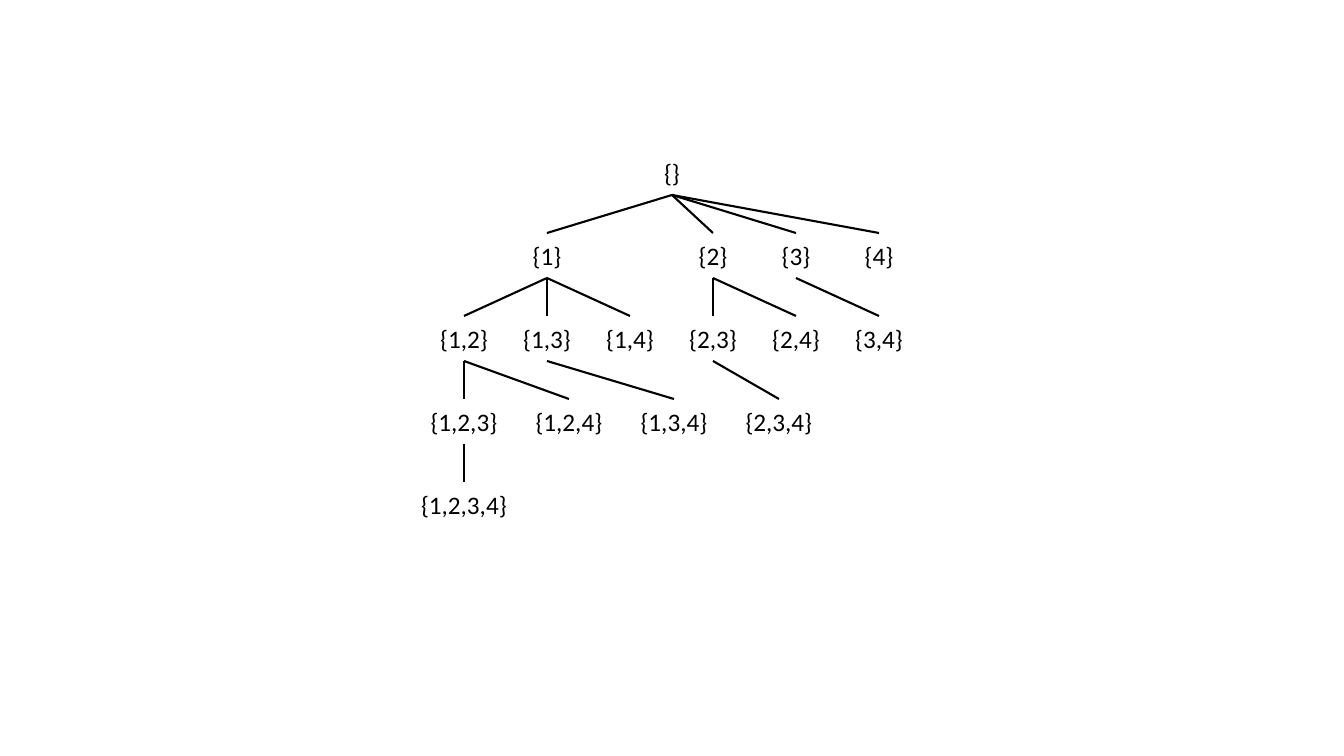
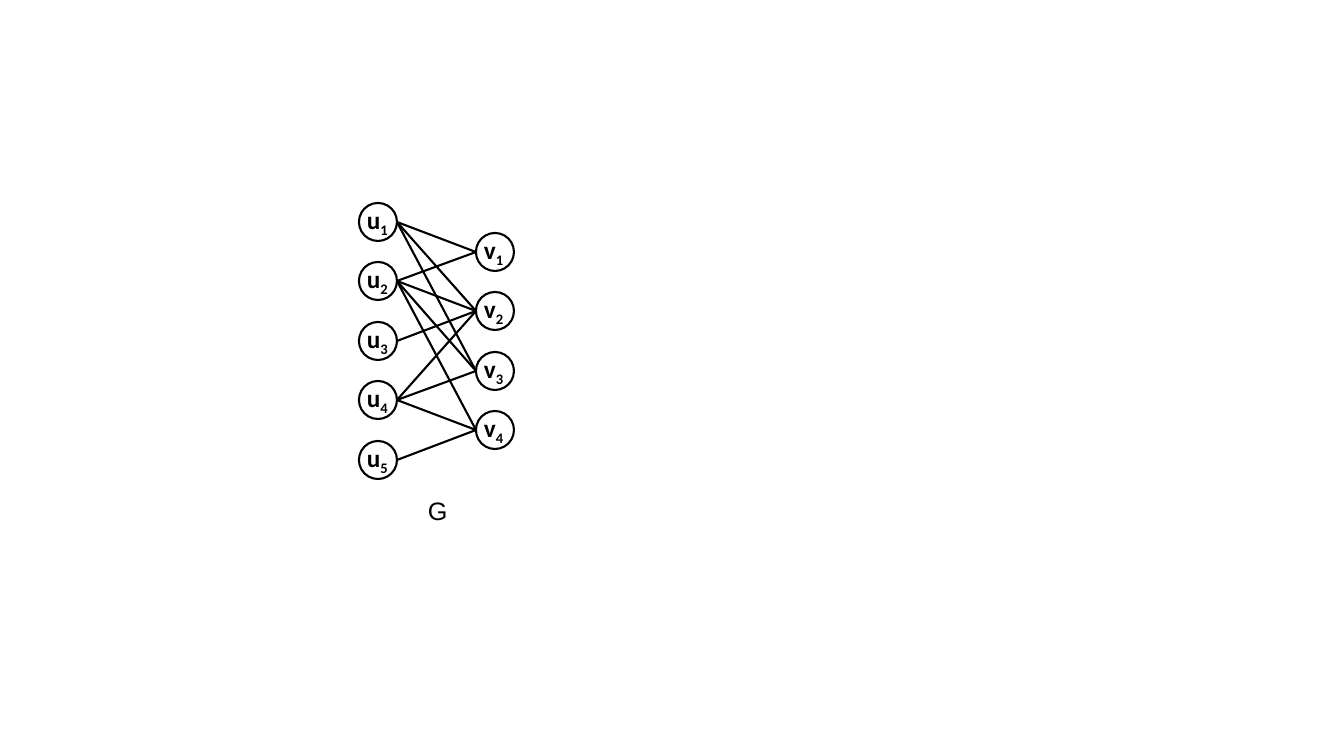
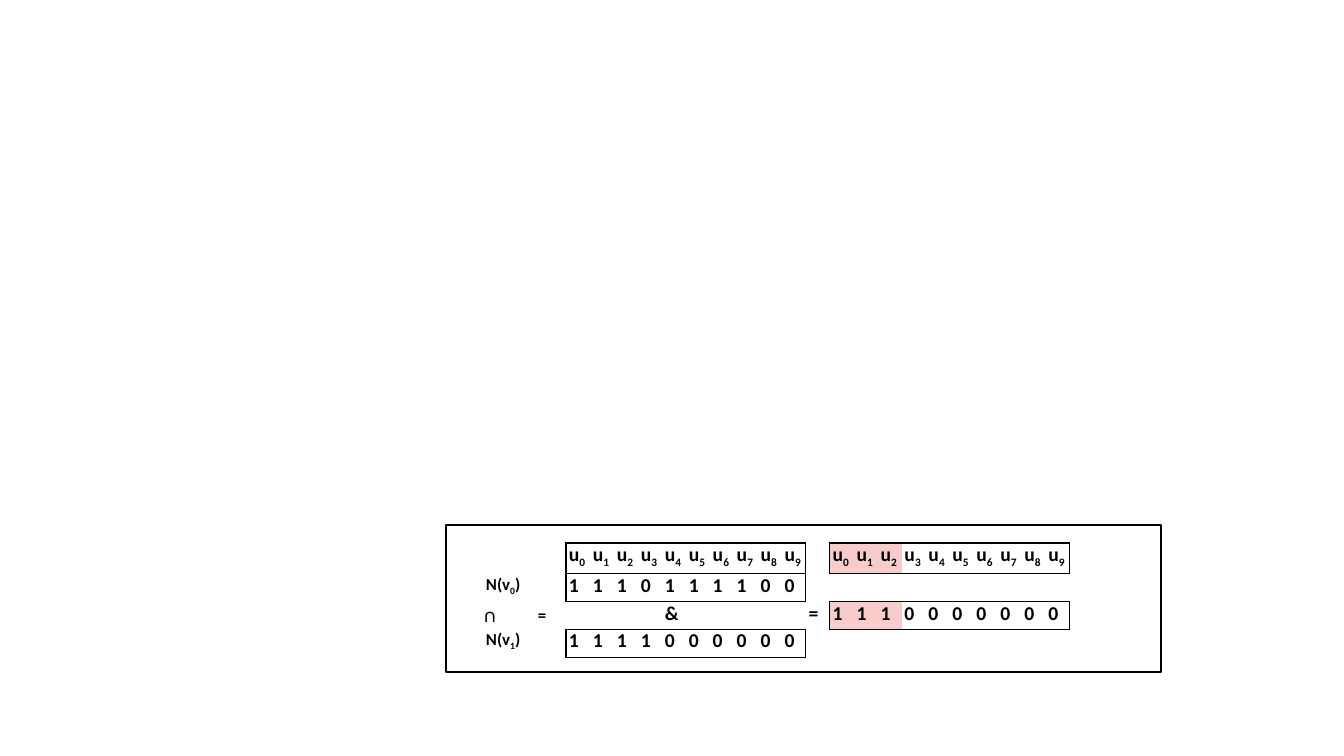
from lxml.etree import SubElement
from pptx import Presentation
from pptx.dml.color import RGBColor
from pptx.enum.shapes import MSO_CONNECTOR, MSO_SHAPE
from pptx.enum.text import MSO_ANCHOR, PP_ALIGN
from pptx.oxml.ns import qn
from pptx.util import Pt

EMU_PER_PX = 914400 / 100.8
COLORS = {"ink": "000000", "common": "F9CCCC"}
TOP, BOTTOM = 0, 2


def px(length):
    return round(length * EMU_PER_PX)


def color(name):
    return RGBColor.from_string(COLORS[name])


def write_text(frame, text, size=18, font="Calibri", bold=False,
               align=PP_ALIGN.LEFT, anchor=MSO_ANCHOR.TOP):
    """Write one paragraph; parts between underscores are subscripts."""
    frame.word_wrap = True
    frame.vertical_anchor = anchor
    paragraph = frame.paragraphs[0]
    paragraph.alignment = align
    for index, part in enumerate(text.split("_")):
        if not part:
            continue
        run = paragraph.add_run()
        run.text = part
        run.font.size = Pt(size)
        run.font.name = font
        run.font.bold = bold
        run.font.color.rgb = color("ink")
        if index % 2:
            run._r.get_or_add_rPr().set("baseline", "-25000")


class Deck:
    """Holds the shared style and the current slide."""

    line_width = 1.5

    def __init__(self):
        self.presentation = Presentation()
        self.presentation.slide_width = px(1344)
        self.presentation.slide_height = px(756)
        self.slide = None

    def new_slide(self):
        layout = self.presentation.slide_layouts[6]
        self.slide = self.presentation.slides.add_slide(layout)

    def text(self, left, top, width, height, text, **text_format):
        shape = self.slide.shapes.add_textbox(px(left), px(top), px(width), px(height))
        write_text(shape.text_frame, text, **text_format)
        return shape

    def outline(self, kind, left, top, width, height, line_width=line_width):
        shape = self.slide.shapes.add_shape(kind, px(left), px(top), px(width), px(height))
        shape.shadow.inherit = False
        shape.fill.background()
        shape.line.color.rgb = color("ink")
        shape.line.width = Pt(line_width)
        return shape

    def line(self, start=(0, 0), end=(0, 0)):
        connector = self.slide.shapes.add_connector(
            MSO_CONNECTOR.STRAIGHT, *(px(value) for value in (*start, *end)))
        connector.line.color.rgb = color("ink")
        connector.line.width = Pt(self.line_width)
        SubElement(connector._element.spPr, qn("a:effectLst"))
        return connector

    def join(self, parent, child):
        connector = self.line()
        connector.begin_connect(parent, BOTTOM)
        connector.end_connect(child, TOP)

    def table(self, left, top, column_widths, row_heights):
        frame = self.slide.shapes.add_table(
            len(row_heights), len(column_widths), px(left), px(top),
            px(sum(column_widths)), px(sum(row_heights)))
        table = frame.table
        table.first_row = table.horz_banding = False
        for column, width in zip(table.columns, column_widths):
            column.width = px(width)
        for row, height in zip(table.rows, row_heights):
            row.height = px(height)
        return table

    def cell(self, cell, text, borders, fill=None, inset=(3, 4), **text_format):
        """Fill one cell; borders maps each side to whether it is drawn."""
        cell.margin_left, cell.margin_bottom = (px(value) for value in inset)
        cell.margin_right = cell.margin_top = 0
        cell.vertical_anchor = MSO_ANCHOR.MIDDLE
        if text:
            write_text(cell.text_frame, text, bold=True, **text_format)
        else:
            # Keeps an empty cell from stretching its row
            paragraph = cell.text_frame.paragraphs[0]
            SubElement(paragraph._p, qn("a:endParaRPr"), sz="1200")
        properties = cell._tc.get_or_add_tcPr()
        for side, drawn in borders.items():
            border = SubElement(properties, qn(f"a:ln{side}"), w=str(Pt(1)))
            if drawn:
                solid = SubElement(border, qn("a:solidFill"))
                SubElement(solid, qn("a:srgbClr"), val=COLORS["ink"])
            else:
                SubElement(border, qn("a:noFill"))
        if fill:
            cell.fill.solid()
            cell.fill.fore_color.rgb = color(fill)
        else:
            cell.fill.background()


def subset_tree(deck):
    deck.new_slide()
    levels = [
        ([""], [672]),
        (["1", "2", "3", "4"], [547, 713, 796, 879]),
        (["12", "13", "14", "23", "24", "34"], range(464, 880, 83)),
        (["123", "124", "134", "234"], range(464, 780, 105)),
        (["1234"], [464]),
    ]
    # Subsets, one level per size
    nodes = {}
    for level, (subsets, centers) in enumerate(levels):
        for subset, center in zip(subsets, centers):
            nodes[subset] = deck.text(
                center - 56, 150 + 83 * level, 112, 45, "{" + ",".join(subset) + "}",
                align=PP_ALIGN.CENTER, anchor=MSO_ANCHOR.MIDDLE)
    # A parent lacks the last element of its child
    for subset, node in nodes.items():
        if subset:
            deck.join(nodes[subset[:-1]], node)


def bipartite_graph(deck):
    deck.new_slide()
    diameter = 38
    sides = {"u": (359, 203, 5), "v": (476, 233, 4)}
    neighbours = {1: (1, 2, 3), 2: (1, 2, 3, 4), 3: (2,), 4: (2, 3, 4), 5: (4,)}

    def node_top(side, number):
        return sides[side][1] + 119 * (number - 1) // 2

    # Vertices
    for side, (left, _, count) in sides.items():
        for number in range(1, count + 1):
            top = node_top(side, number)
            deck.text(left - 2, top - 4, 48, 40, f"{side}_{number}", bold=True)
            deck.outline(MSO_SHAPE.FLOWCHART_CONNECTOR, left, top, diameter, diameter)
    # Edges
    radius = diameter // 2
    for u, targets in neighbours.items():
        for v in targets:
            deck.line((sides["u"][0] + diameter, node_top("u", u) + radius),
                      (sides["v"][0], node_top("v", v) + radius))
    deck.text(418, 490, 56, 40, "G", font="Arial")


def bitset_intersection(deck):
    deck.new_slide()
    rows, columns, bits = 4, 23, 10
    first, second = 2, 13
    table = deck.table(483, 543, [55, 28] + [24] * 21, [24] * rows)

    # Boxed bit strings: row, first column, contents
    names = [f"u_{number}" for number in range(bits)]
    blocks = [(0, first, names), (0, second, names), (1, first, "1110111100"),
              (2, second, "1110000000"), (3, first, "1111000000")]
    texts = {(1, 0): "N(v_0_)", (2, 0): "∩", (2, 1): "=", (2, 6): "&",
             (2, 12): "=", (3, 0): "N(v_1_)"}
    edges = set()
    for row, start, contents in blocks:
        edges |= {("v", row, start), ("v", row, start + bits)}
        for column, content in enumerate(contents, start):
            texts[row, column] = content
            edges |= {("h", row, column), ("h", row + 1, column)}

    small = {(1, 0), (2, 1), (3, 0)}
    for row in range(rows):
        for column in range(columns):
            borders = {"L": ("v", row, column) in edges,
                       "R": ("v", row, column + 1) in edges,
                       "T": ("h", row, column) in edges,
                       "B": ("h", row + 1, column) in edges}
            common = row in (0, 2) and second <= column < second + 3
            deck.cell(table.cell(row, column), texts.get((row, column), ""), borders,
                      fill="common" if common else None,
                      inset=(0, 0) if row == 2 and column < first else (3, 4),
                      size=12 if (row, column) in small else 14)
    # Frame around the whole equation
    deck.outline(MSO_SHAPE.RECTANGLE, 446, 525, 715, 147, line_width=1)


def main():
    deck = Deck()
    subset_tree(deck)
    bipartite_graph(deck)
    bitset_intersection(deck)
    deck.presentation.save("out.pptx")


if __name__ == "__main__":
    main()
